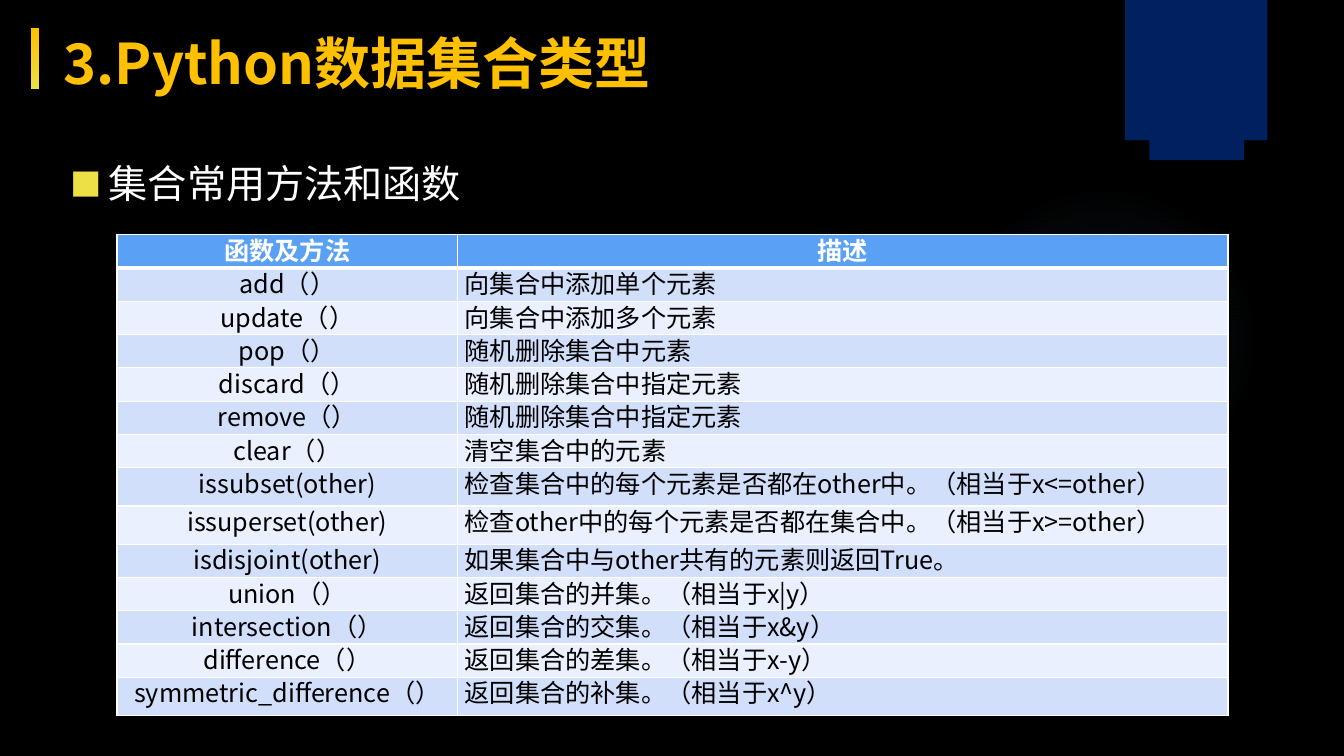
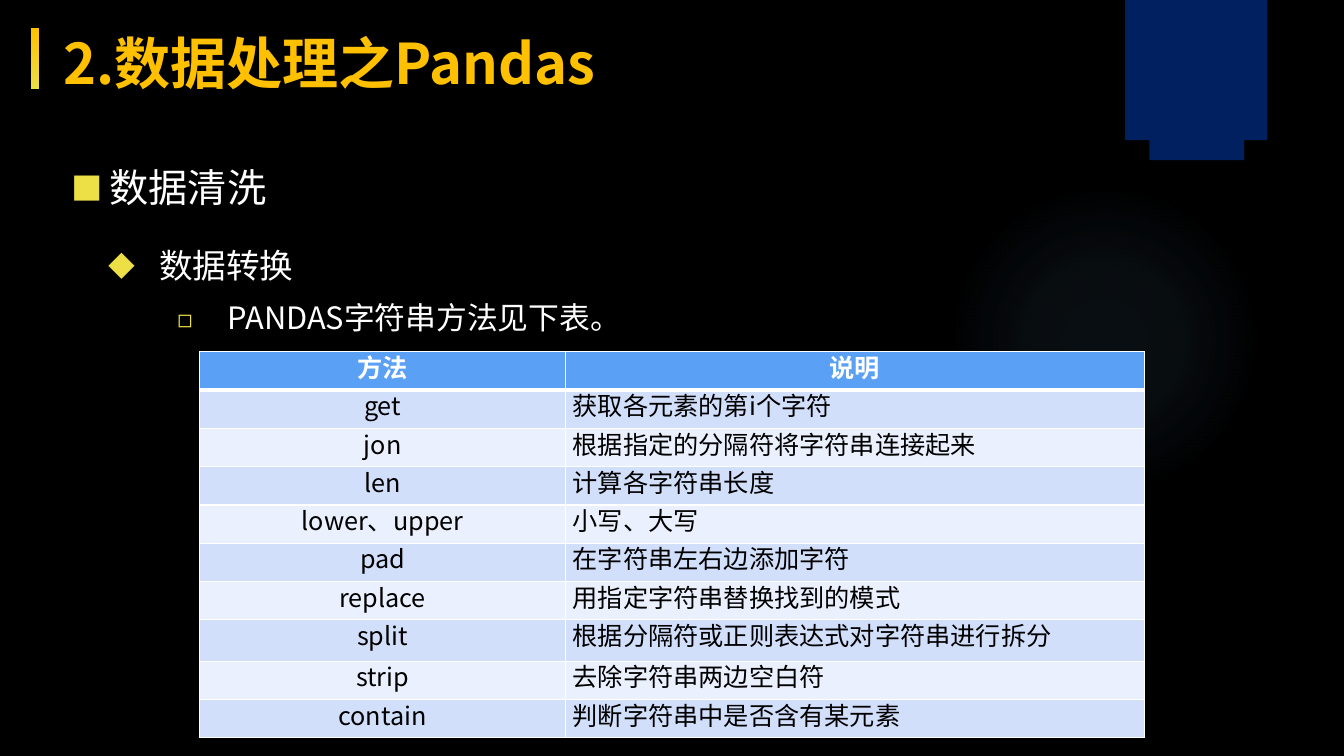
from dataclasses import dataclass

from pptx import Presentation
from pptx import util as u
from pptx.dml.color import RGBColor
from pptx.enum import shapes, text
from pptx.oxml import parse_xml
from pptx.oxml.ns import nsdecls, qn


@dataclass(frozen=True)
class Theme:
    font: str = "Noto Sans CJK SC"
    back: str = "000000"
    navy: str = "002060"
    gold: str = "FFC000"
    lemon: str = "ECD93C"
    bullet: str = "EDDF46"
    glow: str = "7AC4F0"
    white: str = "FFFFFF"
    ink: str = "000000"
    header: str = "5AA0F5"
    bands: tuple = ("D2DFFB", "EAF0FD")
    title_size: int = 40
    cell_size: int = 18
    cell_leading: float = 23.5


T = Theme()

# level: size, left margin, hanging indent, line spacing, bullet
LEVELS = (
    (28, 0.38, 0.38, 1.5, "■"),
    (24, 0.87, 0.5, 1.5, "◆"),
    (22, 1.55, 0.5, 1.0, "◻"),
)

SLIDES = [
    dict(
        title="3.Python数据集合类型",
        outline=["集合常用方法和函数"],
        outline_box=(0.6, 1.3, 10.91, 1.55),
        table_at=(1.16, 2.33),
        columns=(3.38, 7.64),
        row_height=0.33,
        tall_rows={7: 0.38, 8: 0.38, 13: 0.38},
        rows=[
            ("函数及方法", "描述"),
            ("add（）", "向集合中添加单个元素"),
            ("update（）", "向集合中添加多个元素"),
            ("pop（）", "随机删除集合中元素"),
            ("discard（）", "随机删除集合中指定元素"),
            ("remove（）", "随机删除集合中指定元素"),
            ("clear（）", "清空集合中的元素"),
            ("issubset(other)", "检查集合中的每个元素是否都在other中。（相当于x<=other）"),
            ("issuperset(other)", "检查other中的每个元素是否都在集合中。（相当于x>=other）"),
            ("isdisjoint(other)", "如果集合中与other共有的元素则返回True。"),
            ("union（）", "返回集合的并集。（相当于x|y）"),
            ("intersection（）", "返回集合的交集。（相当于x&y）"),
            ("difference（）", "返回集合的差集。（相当于x-y）"),
            ("symmetric_difference（）", "返回集合的补集。（相当于x^y）"),
        ],
    ),
    dict(
        title="2.数据处理之Pandas",
        outline=["数据清洗", "数据转换", "PANDAS字符串方法见下表。"],
        outline_box=(0.61, 1.34, 12.12, 2.57),
        table_at=(1.98, 3.49),
        columns=(3.63, 5.74),
        row_height=0.38,
        tall_rows={7: 0.41},
        rows=[
            ("方法", "说明"),
            ("get", "获取各元素的第i个字符"),
            ("jon", "根据指定的分隔符将字符串连接起来"),
            ("len", "计算各字符串长度"),
            ("lower、upper", "小写、大写"),
            ("pad", "在字符串左右边添加字符"),
            ("replace", "用指定字符串替换找到的模式"),
            ("split", "根据分隔符或正则表达式对字符串进行拆分"),
            ("strip", "去除字符串两边空白符"),
            ("contain", "判断字符串中是否含有某元素"),
        ],
    ),
]


def rgb(color):
    return RGBColor.from_string(color)


def inches(values):
    return [u.Inches(v) for v in values]


def gradient(stops, radial=False):
    """Gradient fill from (position %, colour, opacity %) stops, running down or outwards."""
    stop_xml = "".join(
        f'<a:gs pos="{pos * 1000}"><a:srgbClr val="{color}">'
        f'<a:alpha val="{opacity * 1000}"/></a:srgbClr></a:gs>'
        for pos, color, opacity in stops)
    course = ('<a:path path="circle"><a:fillToRect l="50000" t="50000" r="50000" b="50000"/></a:path>'
              if radial else '<a:lin ang="5400000" scaled="0"/>')
    return parse_xml(f'<a:gradFill {nsdecls("a")} rotWithShape="1">'
                     f'<a:gsLst>{stop_xml}</a:gsLst>{course}</a:gradFill>')


def add_run(p, words, size, color, bold=False):
    r = p.add_run()
    r.text = words
    r.font.size, r.font.bold, r.font.name = u.Pt(size), bold, T.font
    r.font.color.rgb = rgb(color)
    r.font._element.find(qn("a:latin")).addnext(
        parse_xml(f'<a:ea {nsdecls("a")} typeface="{T.font}"/>'))
    return r


def decorate(layout, slide):
    """Draw the shared shapes on the slide, then move them behind the layout's placeholders."""
    layout.background.fill.solid()
    layout.background.fill.fore_color.rgb = rgb(T.back)
    oval, rect = shapes.MSO_SHAPE.OVAL, shapes.MSO_SHAPE.RECTANGLE
    glow = gradient([(0, T.glow, 7), (36, T.glow, 6), (69, T.glow, 0)], radial=True)
    accent = gradient([(0, T.gold, 100), (100, T.bullet, 100)])
    decor = [
        (oval, (9.41, 1.83, 3.08, 3.08), glow),
        (rect, (11.16, 0, 1.41, 1.39), T.navy),
        (rect, (11.4, 0, 0.94, 1.59), T.navy),
        (rect, (0.31, 0.28, 0.08, 0.6), accent),
    ]
    tree = layout.element.cSld.spTree
    for i, (kind, box, fill) in enumerate(decor):
        sp = slide.shapes.add_shape(kind, *inches(box))
        sp.shadow.inherit = False
        sp.line.fill.background()
        if isinstance(fill, str):
            sp.fill.solid()
            sp.fill.fore_color.rgb = rgb(fill)
        else:
            sp.element.spPr.find(qn("a:prstGeom")).addnext(fill)
        sp.element.nvSpPr.cNvPr.id = 100 + i
        tree.insert(2 + i, sp.element)


def set_title(slide, words):
    sp = slide.shapes.title
    sp.left, sp.top, sp.width, sp.height = inches((0.53, 0.2, 7.18, 0.77))
    tf = sp.text_frame
    tf.vertical_anchor = text.MSO_ANCHOR.TOP
    tf.auto_size = text.MSO_AUTO_SIZE.NONE
    p = tf.paragraphs[0]
    p.alignment = text.PP_ALIGN.LEFT
    p.line_spacing = u.Pt(T.title_size * 1.25)
    r = add_run(p, words, T.title_size, T.gold, bold=True)
    solid = r.font._element.find(qn("a:solidFill"))
    solid.addprevious(gradient([(0, T.gold, 100), (100, T.lemon, 100)]))
    r.font._element.remove(solid)


def add_outline(slide, lines, box):
    tf = slide.shapes.add_textbox(*inches(box)).text_frame
    tf.word_wrap = True
    for i, (words, level) in enumerate(zip(lines, LEVELS)):
        size, margin, hang, spacing, mark = level
        p = tf.add_paragraph() if i else tf.paragraphs[0]
        p.line_spacing, p.space_before = spacing, u.Pt(10)
        pPr = p._p.get_or_add_pPr()
        pPr.set("marL", str(u.Inches(margin)))
        pPr.set("indent", str(-u.Inches(hang)))
        for bullet in (f'<a:buClr {nsdecls("a")}><a:srgbClr val="{T.bullet}"/></a:buClr>',
                       f'<a:buSzPct {nsdecls("a")} val="80000"/>',
                       f'<a:buFont {nsdecls("a")} typeface="{T.font}"/>',
                       f'<a:buChar {nsdecls("a")} char="{mark}"/>'):
            pPr.append(parse_xml(bullet))
        add_run(p, words, size, T.white)


def format_cell(cell, words, row, col):
    head = row == 0
    cell.margin_left = cell.margin_right = u.Inches(0.07)
    cell.margin_top = cell.margin_bottom = 0
    tcPr = cell._tc.get_or_add_tcPr()
    for side in "LRTB":
        heavy = side == "B" and head or side == "T" and row == 1
        tcPr.append(parse_xml(
            f'<a:ln{side} {nsdecls("a")} w="{u.Pt(3 if heavy else 1)}">'
            f'<a:solidFill><a:srgbClr val="{T.white}"/></a:solidFill></a:ln{side}>'))
    cell.fill.solid()
    cell.fill.fore_color.rgb = rgb(T.header if head else T.bands[(row - 1) % 2])
    p = cell.text_frame.paragraphs[0]
    p.alignment = text.PP_ALIGN.CENTER if head or col == 0 else text.PP_ALIGN.LEFT
    p.line_spacing = u.Pt(T.cell_leading)
    add_run(p, words, T.cell_size, T.white if head else T.ink, bold=head)


def add_methods_table(slide, rows, at, columns, row_height, tall_rows):
    heights = [tall_rows.get(i, row_height) for i in range(len(rows))]
    table = slide.shapes.add_table(
        len(rows), len(columns), *inches((*at, sum(columns), sum(heights)))).table
    table.horz_banding = False
    for column, width in zip(table.columns, columns):
        column.width = u.Inches(width)
    for i, (row, height) in enumerate(zip(rows, heights)):
        table.rows[i].height = u.Inches(height)
        for j, words in enumerate(row):
            format_cell(table.cell(i, j), words, i, j)


def main():
    prs = Presentation()
    prs.slide_width, prs.slide_height = inches((13.33, 7.5))
    layout = prs.slide_layouts.get_by_name("Title Only")
    for i, content in enumerate(SLIDES):
        slide = prs.slides.add_slide(layout)
        if i == 0:
            decorate(layout, slide)
        set_title(slide, content["title"])
        add_outline(slide, content["outline"], content["outline_box"])
        add_methods_table(slide, content["rows"], content["table_at"], content["columns"],
                          content["row_height"], content["tall_rows"])
    prs.save("out.pptx")


if __name__ == "__main__":
    main()
